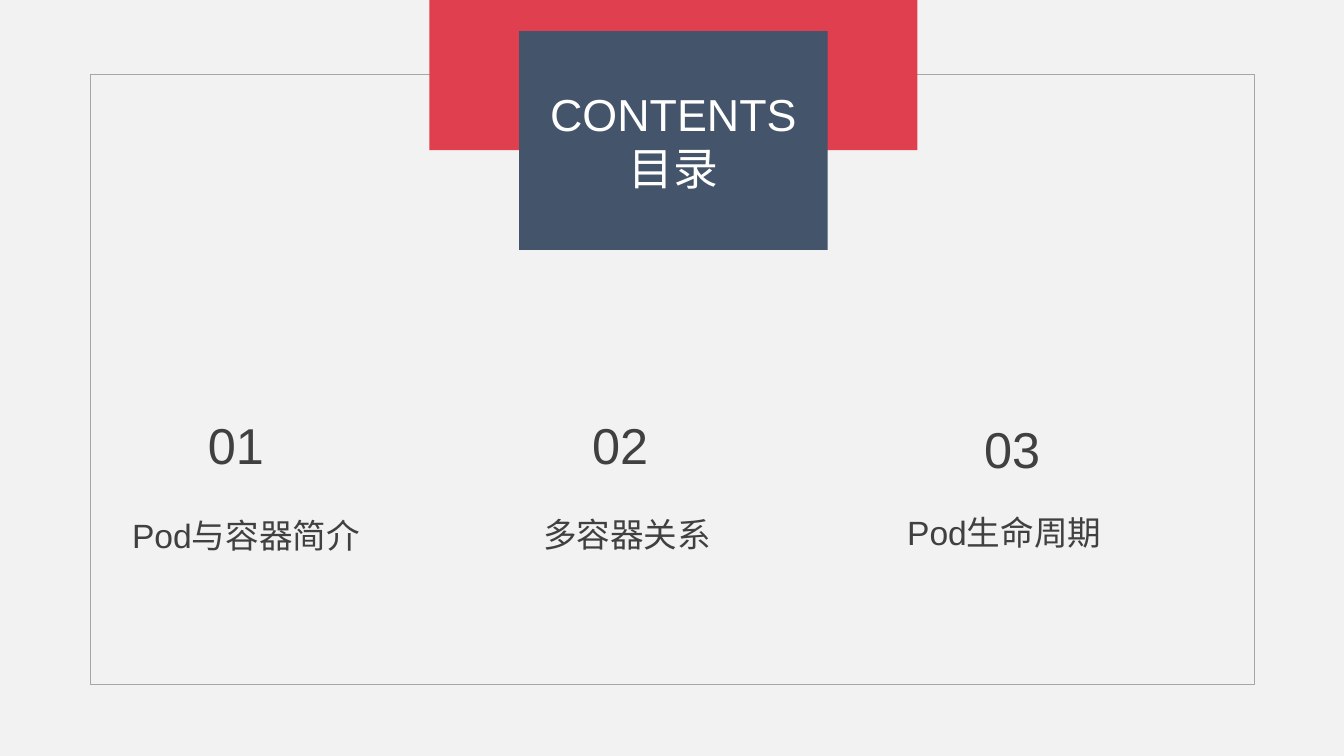
from pptx import Presentation
from pptx.dml.color import RGBColor
from pptx.enum.shapes import MSO_SHAPE
from pptx.enum.text import MSO_ANCHOR, MSO_AUTO_SIZE, PP_ALIGN
from pptx.util import Inches, Pt

BACKGROUND, FRAME_GRAY, RED, NAVY = "F2F2F2", "A6A6A6", "DF3F4E", "44546A"
WHITE, DARK = "FFFFFF", "404040"

FRAME = (0.9, 0.74, 11.54, 6.05)
BANNER = (4.26, -0.05, 4.84, 1.54)
TITLE_BOX = (5.15, 0.31, 3.06, 2.17)
TITLE = ["CONTENTS", "目录"]
CHAPTERS = [
    ("01", (1.81, 4, 1.06, 0.81), "Pod与容器简介", (1.17, 5.06, 2.54, 0.5)),
    ("02", (5.62, 4, 1.06, 0.81), "多容器关系", (4.95, 5.05, 2.54, 0.5)),
    ("03", (9.51, 4.04, 1.06, 0.81), "Pod生命周期", (8.39, 5.03, 3.14, 0.5)),
]


def color(value):
    return RGBColor.from_string(value)


def add_rectangle(slide, box, fill=None, line=None):
    rectangle = slide.shapes.add_shape(MSO_SHAPE.RECTANGLE, *map(Inches, box))
    rectangle.shadow.inherit = False
    if fill:
        rectangle.fill.solid()
        rectangle.fill.fore_color.rgb = color(fill)
    else:
        rectangle.fill.background()
    if line:
        rectangle.line.color.rgb = color(line)
        rectangle.line.width = Pt(1)
    else:
        rectangle.line.fill.background()
    return rectangle


def write(frame, lines, size, ink, anchor):
    frame.word_wrap = True
    frame.vertical_anchor = anchor
    frame.text = "\n".join(lines)
    for paragraph in frame.paragraphs:
        paragraph.alignment = PP_ALIGN.CENTER
        paragraph.font.name = "Arial"
        paragraph.font.size = Pt(size)
        paragraph.font.color.rgb = color(ink)


def add_label(slide, box, label, size, anchor):
    frame = slide.shapes.add_textbox(*map(Inches, box)).text_frame
    write(frame, [label], size, DARK, anchor)
    return frame


def main():
    deck = Presentation()
    deck.slide_width, deck.slide_height = Inches(13.33), Inches(7.5)
    slide = deck.slides.add_slide(deck.slide_layouts[6])
    slide.background.fill.solid()
    slide.background.fill.fore_color.rgb = color(BACKGROUND)

    add_rectangle(slide, FRAME, line=FRAME_GRAY)
    add_rectangle(slide, BANNER, fill=RED)
    title_box = add_rectangle(slide, TITLE_BOX, fill=NAVY)
    write(title_box.text_frame, TITLE, 32, WHITE, MSO_ANCHOR.MIDDLE)

    for number, number_box, name, name_box in CHAPTERS:
        heading = add_label(slide, name_box, name, 24, MSO_ANCHOR.TOP)
        heading.auto_size = MSO_AUTO_SIZE.SHAPE_TO_FIT_TEXT
        add_label(slide, number_box, number, 36, MSO_ANCHOR.MIDDLE)

    deck.save("out.pptx")


if __name__ == "__main__":
    main()
